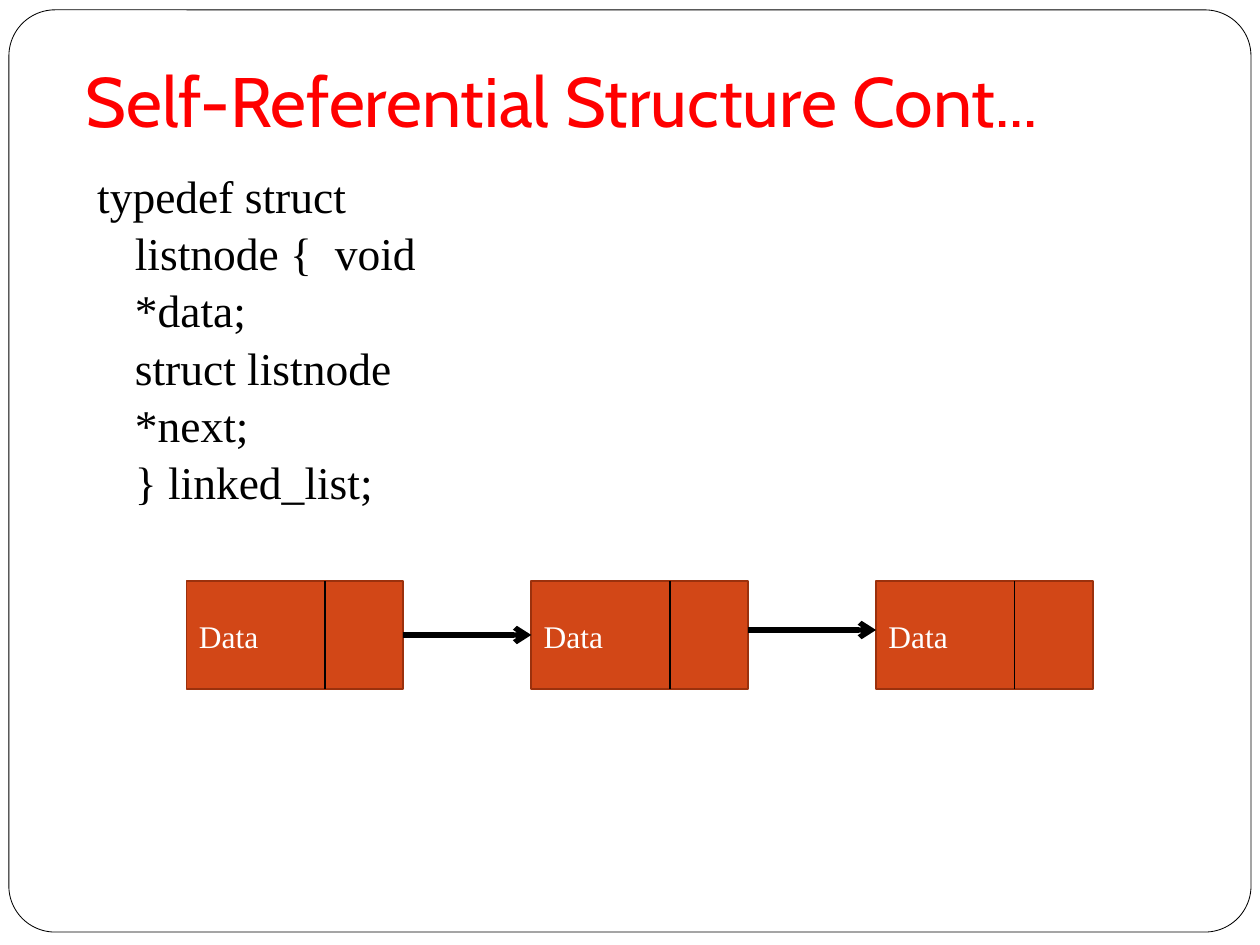
from dataclasses import dataclass

from lxml import etree
from pptx import Presentation
from pptx.dml.color import RGBColor
from pptx.enum import shapes, text
from pptx.oxml import ns
from pptx.util import Cm, Pt

TITLE = "Self-Referential Structure Cont..."
CODE = [  # (text, first-line indent in cm)
    ("typedef struct listnode {  void *data;", -0.76),
    ("struct listnode *next;", 0),
    ("} linked_list;", 0),
]
NODES = ["Data", "Data", "Data"]
ARROW_Y = [12.8, 12.7]

# Node geometry in cm
NODE_LEFT, NODE_TOP, NODE_W, NODE_H = 3.76, 11.71, 4.37, 2.18
NODE_PITCH, DIVIDER_X = 6.95, 2.79


@dataclass(frozen=True)
class Theme:
    heading: str = "Cabin"
    body: str = "Times New Roman"
    title_size: int = 40
    code_size: int = 26
    node_size: int = 18
    red: RGBColor = RGBColor(0xFF, 0, 0)
    black: RGBColor = RGBColor(0, 0, 0)
    white: RGBColor = RGBColor(0xFF, 0xFF, 0xFF)
    node_fill: RGBColor = RGBColor(0xD2, 0x47, 0x17)
    node_line: RGBColor = RGBColor(0x9B, 0x31, 0x0D)


THEME = Theme()


def box(left, top, width, height):
    return Cm(left), Cm(top), Cm(width), Cm(height)


def style_runs(p, font, size, color):
    p.alignment = text.PP_ALIGN.LEFT
    for r in p.runs:
        r.font.name, r.font.size = font, Pt(size)
        r.font.color.rgb = color


def set_frame(tf, anchor, left=0, right=0):
    tf.word_wrap = True
    tf.vertical_anchor = anchor
    tf.margin_left, tf.margin_right = Cm(left), Cm(right)
    tf.margin_top, tf.margin_bottom = Cm(0.03), 0


def add_line(s, x1, y1, x2, y2, width, arrow=False):
    line = s.shapes.add_connector(
        shapes.MSO_CONNECTOR.STRAIGHT, Cm(x1), Cm(y1), Cm(x2), Cm(y2))
    line.line.color.rgb = THEME.black
    line.line.width = Pt(width)
    if arrow:
        etree.SubElement(line.line._get_or_add_ln(), ns.qn("a:tailEnd"), type="arrow")
    etree.SubElement(line._element.spPr, ns.qn("a:effectLst"))


def add_border(s):
    sp = s.shapes.add_shape(
        shapes.MSO_SHAPE.ROUNDED_RECTANGLE, *box(0.18, 0.2, 25.04, 18.59))
    sp.adjustments[0] = 0.05
    sp.shadow.inherit = False
    sp.fill.background()
    sp.line.color.rgb = THEME.black
    sp.line.width = Pt(0.48)


def add_title(s):
    sp = s.shapes.title
    sp.left, sp.top, sp.width, sp.height = box(1.73, 1.12, 19.28, 1.75)
    tf = sp.text_frame
    tf.text = TITLE
    set_frame(tf, text.MSO_ANCHOR.TOP)
    tf.auto_size = text.MSO_AUTO_SIZE.SHAPE_TO_FIT_TEXT
    style_runs(tf.paragraphs[0], THEME.heading, THEME.title_size, THEME.red)


def add_code(s):
    tf = s.shapes.add_textbox(*box(1.93, 3.3, 8.15, 4.47)).text_frame
    set_frame(tf, text.MSO_ANCHOR.TOP, right=1.1)
    tf.auto_size = text.MSO_AUTO_SIZE.SHAPE_TO_FIT_TEXT
    tf.text = "\n".join(line for line, _ in CODE)
    for p, (_, indent) in zip(tf.paragraphs, CODE):
        pPr = p._p.get_or_add_pPr()
        pPr.set("marL", str(Cm(0.79)))
        pPr.set("indent", str(Cm(indent)))
        p.line_spacing = 1.05
        style_runs(p, THEME.body, THEME.code_size, THEME.black)


def add_node(s, x, label):
    sp = s.shapes.add_shape(
        shapes.MSO_SHAPE.RECTANGLE, *box(x, NODE_TOP, NODE_W, NODE_H))
    sp.shadow.inherit = False
    sp.fill.solid()
    sp.fill.fore_color.rgb = THEME.node_fill
    sp.line.color.rgb = THEME.node_line
    sp.line.width = Pt(0.96)
    tf = sp.text_frame
    tf.text = label
    set_frame(tf, text.MSO_ANCHOR.MIDDLE, left=0.25, right=NODE_W - DIVIDER_X)
    style_runs(tf.paragraphs[0], THEME.body, THEME.node_size, THEME.white)
    divider = x + DIVIDER_X
    add_line(s, divider, NODE_TOP, divider, NODE_TOP + NODE_H, 0.96)


def main():
    prs = Presentation()
    prs.slide_width, prs.slide_height = Cm(25.4), Cm(19.05)
    s = prs.slides.add_slide(prs.slide_layouts[5])
    add_border(s)
    add_title(s)
    add_code(s)
    lefts = [NODE_LEFT + i * NODE_PITCH for i in range(len(NODES))]
    for x, label in zip(lefts, NODES):
        add_node(s, x, label)
    for x, next_x, y in zip(lefts, lefts[1:], ARROW_Y):
        add_line(s, x + NODE_W, y, next_x, y, 3, arrow=True)
    prs.save("out.pptx")


if __name__ == "__main__":
    main()
